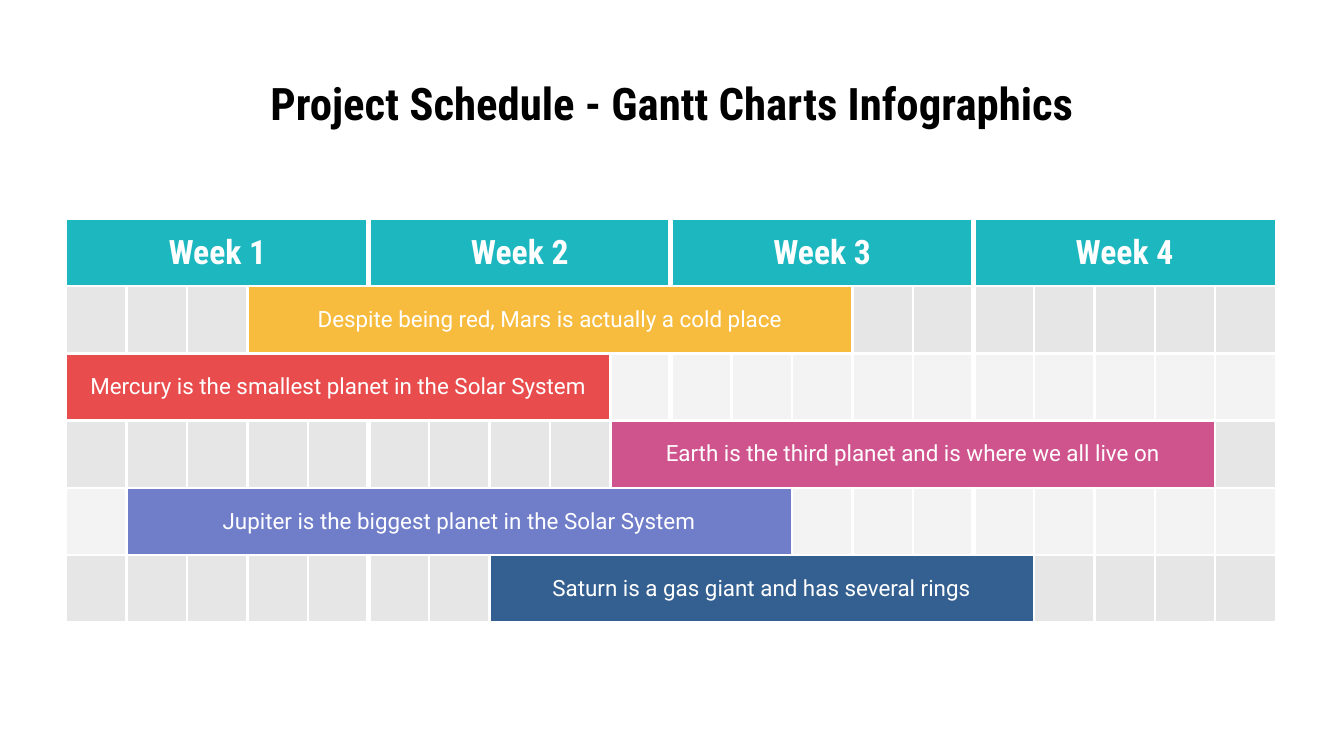
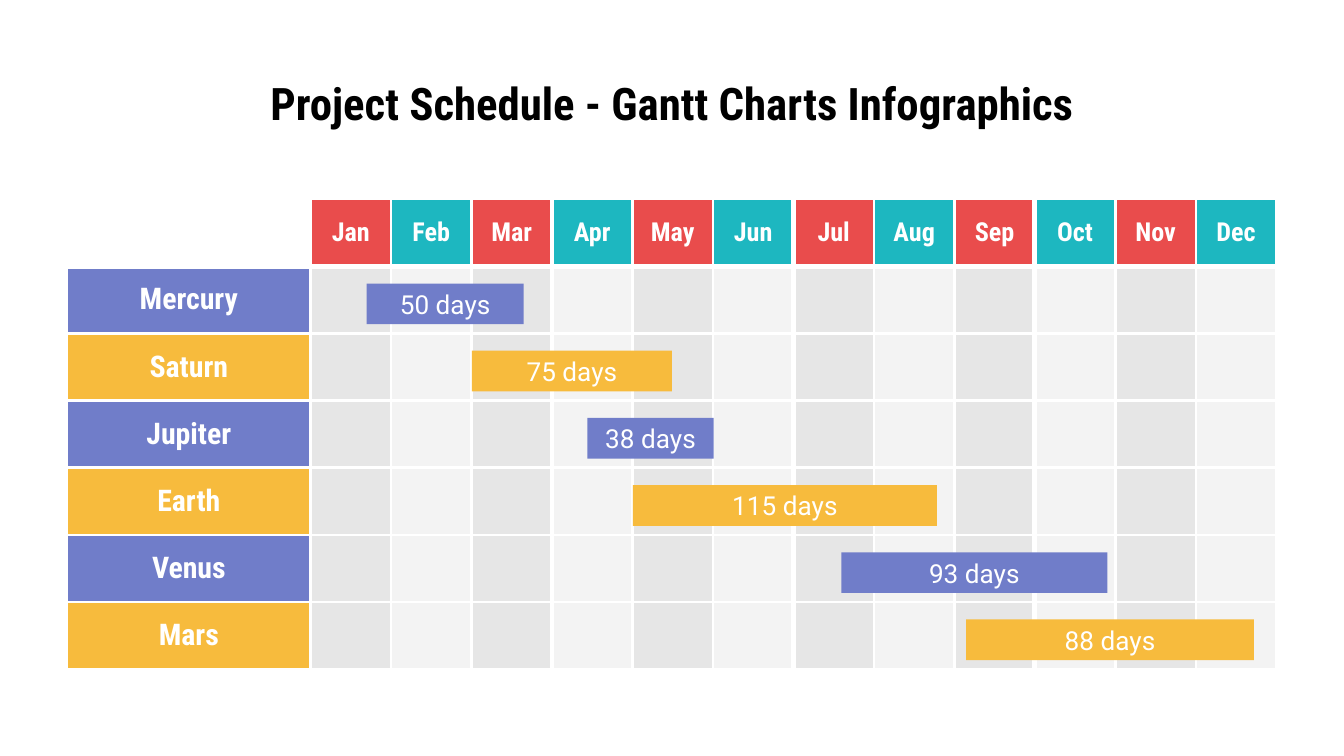
import pptx
import pptx.dml.color
import pptx.enum.shapes
import pptx.enum.text
import pptx.oxml
import pptx.oxml.ns
import pptx.util

Cm = pptx.util.Cm
Pt = pptx.util.Pt

TITLE = "Project Schedule - Gantt Charts Infographics"
HEAD_FONT = "Roboto Condensed"
BODY_FONT = "Roboto"
WHITE = "FFFFFF"
BLACK = "000000"
TEAL = "1DB7C0"
RED = "E94C4C"
YELLOW = "F7BB3D"
PINK = "CF548E"
VIOLET = "707DC9"
BLUE = "346091"
GREYS = ("E6E6E6", "F3F3F3")
ROW_HEIGHT = 1.27
GRID_WIDTH = 22.86
INSET = Cm(0.25)


def rgb(color):
    return pptx.dml.color.RGBColor.from_string(color)


def put_text(tf, text, size=12, font=BODY_FONT, color=WHITE, bold=False):
    tf.word_wrap = True
    p = tf.paragraphs[0]
    p.alignment = pptx.enum.text.PP_ALIGN.CENTER
    r = p.add_run()
    r.text = text
    r.font.name = font
    r.font.size = Pt(size)
    r.font.bold = bold
    r.font.color.rgb = rgb(color)


def set_insets(target):
    target.margin_left = target.margin_right = INSET
    target.margin_top = target.margin_bottom = INSET
    target.vertical_anchor = pptx.enum.text.MSO_ANCHOR.MIDDLE


class Deck:
    def __init__(self):
        self.prs = pptx.Presentation()
        self.prs.slide_width = Cm(25.4)
        self.prs.slide_height = Cm(14.29)

    def slide(self, title):
        self.s = self.prs.slides.add_slide(self.prs.slide_layouts[5])
        sp = self.s.shapes.title
        sp.left, sp.top, sp.width, sp.height = Cm(1.27), Cm(1.14), Cm(22.86), Cm(1.6)
        set_insets(sp.text_frame)
        put_text(sp.text_frame, title, size=24, font=HEAD_FONT, color=BLACK, bold=True)

    def grid(self, left, top, widths, rows, thick_cols, thick_rows=()):
        self.thick_cols, self.thick_rows = thick_cols, thick_rows
        frame = self.s.shapes.add_table(
            rows, len(widths), Cm(left), Cm(top), Cm(sum(widths)), Cm(rows * ROW_HEIGHT))
        self.table = frame.table
        self.table.first_row = self.table.horz_banding = False
        for column, width in zip(self.table.columns, widths):
            column.width = Cm(width)
        for row in self.table.rows:
            row.height = Cm(ROW_HEIGHT)

    def borders(self, cell, row, col, span):
        tc_pr = cell._tc.get_or_add_tcPr()
        thick = {
            "L": col in self.thick_cols,
            "R": col + span in self.thick_cols,
            "T": row in self.thick_rows,
            "B": row + 1 in self.thick_rows,
        }
        for side, is_thick in thick.items():
            tc_pr.append(pptx.oxml.parse_xml(
                f'<a:ln{side} {pptx.oxml.ns.nsdecls("a")} w="{Pt(3 if is_thick else 1.5)}">'
                f'<a:solidFill><a:srgbClr val="{WHITE}"/></a:solidFill></a:ln{side}>'))

    def cell(self, row, col, fill=None, text=None, span=1, **fmt):
        cell = self.table.cell(row, col)
        if span > 1:
            cell.merge(self.table.cell(row, col + span - 1))
        self.borders(cell, row, col, span)
        if fill:
            cell.fill.solid()
            cell.fill.fore_color.rgb = rgb(fill)
        else:
            cell.fill.background()
        if text:
            set_insets(cell)
            put_text(cell.text_frame, text, **fmt)

    def bar(self, left, top, width, height, fill, text, **fmt):
        sp = self.s.shapes.add_shape(
            pptx.enum.shapes.MSO_SHAPE.RECTANGLE, Cm(left), Cm(top), Cm(width), Cm(height))
        sp.shadow.inherit = False
        sp.fill.solid()
        sp.fill.fore_color.rgb = rgb(fill)
        sp.line.fill.background()
        set_insets(sp.text_frame)
        put_text(sp.text_frame, text, **fmt)


def weekly_schedule(deck):
    weeks, days = 4, 5
    count = weeks * days
    tasks = [
        ("Despite being red, Mars is actually a cold place", 3, 10, YELLOW),
        ("Mercury is the smallest planet in the Solar System", 0, 9, RED),
        ("Earth is the third planet and is where we all live on", 9, 10, PINK),
        ("Jupiter is the biggest planet in the Solar System", 1, 11, VIOLET),
        ("Saturn is a gas giant and has several rings", 7, 9, BLUE),
    ]
    deck.slide(TITLE)
    deck.grid(1.25, 4.14, [GRID_WIDTH / count] * count, len(tasks) + 1,
              thick_cols=range(days, count, days))
    for week in range(weeks):
        deck.cell(0, week * days, TEAL, f"Week {week + 1}", span=days,
                  size=18, font=HEAD_FONT, bold=True)
    for row, (text, start, span, fill) in enumerate(tasks, 1):
        deck.cell(row, start, fill, text, span=span)
        for col in range(count):
            if not start <= col < start + span:
                deck.cell(row, col, GREYS[(row - 1) % 2])


def yearly_schedule(deck):
    months = "Jan Feb Mar Apr May Jun Jul Aug Sep Oct Nov Dec".split()
    planets = [
        ("Mercury", "50 days", 6.93, 2.97),
        ("Saturn", "75 days", 8.92, 3.78),
        ("Jupiter", "38 days", 11.1, 2.39),
        ("Earth", "115 days", 11.96, 5.75),
        ("Venus", "93 days", 15.9, 5.03),
        ("Mars", "88 days", 18.26, 5.44),
    ]
    name_width = 4.6
    month_width = (GRID_WIDTH - name_width) / len(months)
    top = 3.76
    deck.slide(TITLE)
    deck.grid(1.27, top, [name_width] + [month_width] * len(months), len(planets) + 1,
              thick_cols=(4, 7, 10), thick_rows=(1,))
    deck.cell(0, 0)
    for col, month in enumerate(months, 1):
        deck.cell(0, col, (TEAL, RED)[col % 2], month, size=14, font=HEAD_FONT, bold=True)
    for row, (name, duration, left, width) in enumerate(planets, 1):
        fill = (YELLOW, VIOLET)[row % 2]
        deck.cell(row, 0, fill, name, size=16, font=HEAD_FONT, bold=True)
        for col in range(1, len(months) + 1):
            deck.cell(row, col, GREYS[(col - 1) % 2])
        deck.bar(left, top + row * ROW_HEIGHT + 0.33, width, 0.77, fill, duration, size=14)


def main():
    deck = Deck()
    weekly_schedule(deck)
    yearly_schedule(deck)
    deck.prs.save("out.pptx")


if __name__ == "__main__":
    main()
